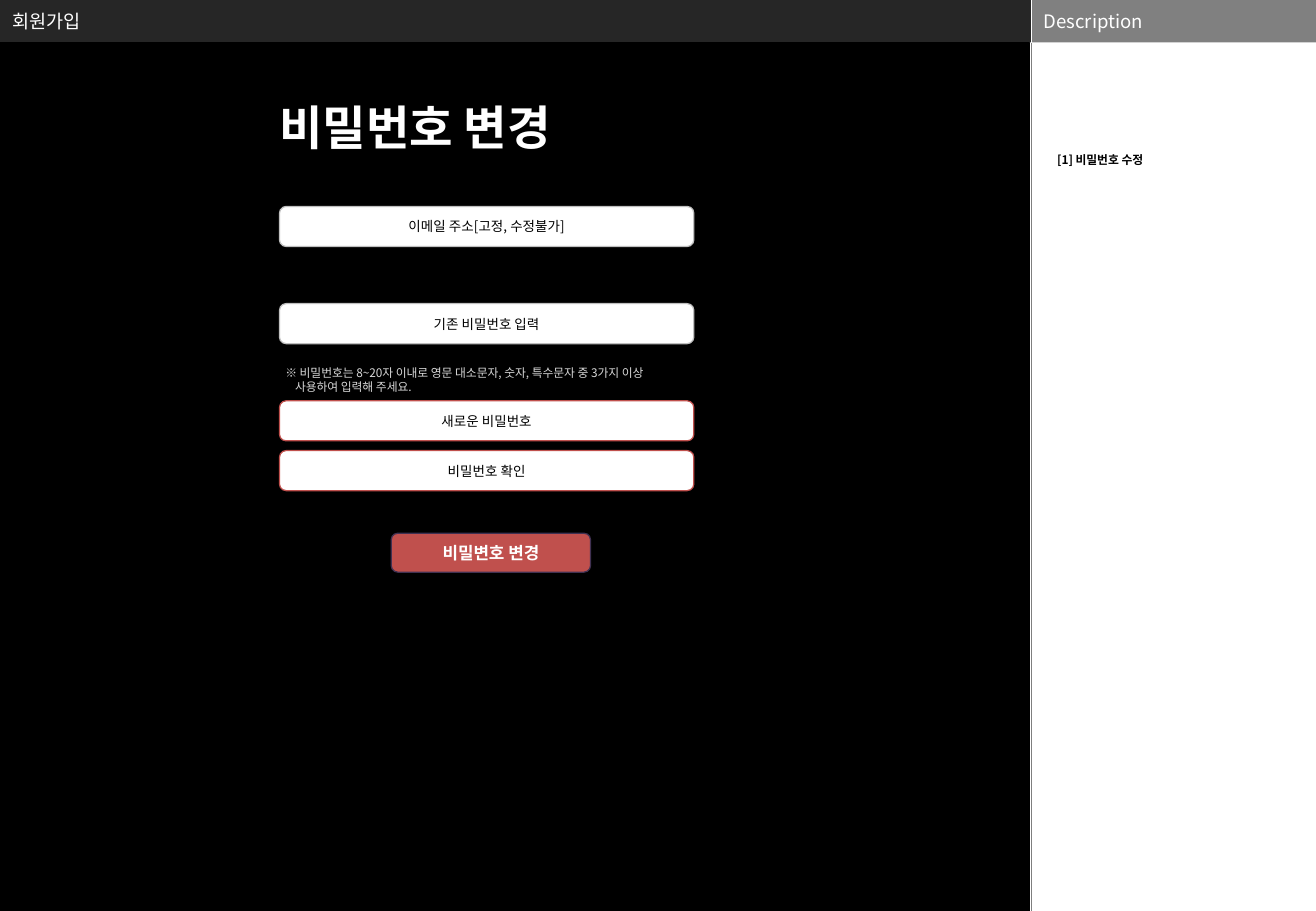
from pptx import Presentation
from pptx.dml.color import RGBColor
from pptx.enum import shapes, text
from pptx.oxml.ns import qn
from pptx.util import Inches, Pt
from lxml import etree

FONT = "Noto Sans CJK KR"
COLORS = {
    "black": "000000", "white": "FFFFFF", "header": "262626", "side": "808080",
    "divider": "7F7F7F", "border": "BFBFBF", "red": "C0504D", "plum": "403152",
    "hint": "D9D9D9",
}
HEADER_H = 0.35
RECT = shapes.MSO_SHAPE.RECTANGLE
ROUNDED = shapes.MSO_SHAPE.ROUNDED_RECTANGLE
MIDDLE = text.MSO_ANCHOR.MIDDLE
LEFT, CENTER = text.PP_ALIGN.LEFT, text.PP_ALIGN.CENTER


def rgb(name):
    return RGBColor.from_string(COLORS[name])


def add_block(s, kind, x, y, w, h, fill, line=None):
    sp = s.shapes.add_shape(kind, Inches(x), Inches(y), Inches(w), Inches(h))
    sp.shadow.inherit = False
    sp.fill.solid()
    sp.fill.fore_color.rgb = rgb(fill)
    if line:
        sp.line.color.rgb = rgb(line)
        sp.line.width = Pt(0.75)
    else:
        sp.line.fill.background()
    return sp


def add_rule(s, x, y1, y2, color):
    ln = s.shapes.add_connector(shapes.MSO_CONNECTOR.STRAIGHT,
                                Inches(x), Inches(y1), Inches(x), Inches(y2))
    ln.line.color.rgb = rgb(color)
    ln.line.width = Pt(0.25)
    etree.SubElement(ln.element.spPr, qn("a:effectLst"))


def add_box(s, x, y, w, h):
    return s.shapes.add_textbox(Inches(x), Inches(y), Inches(w), Inches(h))


def place(ph, x, y, w, h):
    """Move a placeholder into its box and to the front."""
    ph.left, ph.top, ph.width, ph.height = map(Inches, (x, y, w, h))
    ph.element.getparent().append(ph.element)
    return ph


def write(sp, words, size, color, bold=False, align=LEFT,
          anchor=text.MSO_ANCHOR.TOP, wrap=True, insets=(0.1, 0.05)):
    tf = sp.text_frame
    tf.text = words
    tf.word_wrap = wrap
    tf.auto_size = text.MSO_AUTO_SIZE.NONE
    tf.vertical_anchor = anchor
    tf.margin_left = tf.margin_right = Inches(insets[0])
    tf.margin_top = tf.margin_bottom = Inches(insets[1])
    for p in tf.paragraphs:
        p.alignment = align
        p.space_before = Pt(0)
        for r in p.runs:
            r.font.size, r.font.bold, r.font.name = Pt(size), bold, FONT
            r.font.color.rgb = rgb(color)
            # East Asian typeface for the Korean text
            etree.SubElement(r.font._element, qn("a:ea")).set("typeface", FONT)
    return tf


def indent(p, left):
    pPr = p._p.get_or_add_pPr()
    pPr.set("marL", str(Inches(left)))
    pPr.set("indent", "0")
    return pPr


def add_header(s, x, y, w, h, body):
    add_block(s, RECT, x, y, w, h, "header")
    place(body, x, y, w - 0.24, h)
    tf = write(body, "회원가입", 11, "white", anchor=MIDDLE)
    etree.SubElement(indent(tf.paragraphs[0], 0), qn("a:buNone"))


def add_description(s, x, y, w, h):
    add_block(s, RECT, x, y, w, HEADER_H, "side")
    add_rule(s, x, y, y + HEADER_H, "white")
    add_rule(s, x, y + HEADER_H, y + h, "divider")
    write(add_box(s, x, y, w, 0.34), "Description", 11, "white", anchor=MIDDLE)
    write(add_box(s, x + 0.18, y + 1.26, 1.91, 5.58), "[1] 비밀번호 수정",
          7, "black", bold=True, insets=(0.03, 0))


def add_screen(s, x, y, w, h, title):
    add_block(s, RECT, x, y, w, h, "black", "black")
    place(title, x + 2.2, y + 0.41, 3.86, 0.57)
    write(title, "비밀번호 변경", 28, "white", bold=True)

    # Input fields
    fields = [
        (1.35, "이메일 주소[고정, 수정불가]", "border"),
        (2.15, "기존 비밀번호 입력", "border"),
        (2.95, "새로운 비밀번호", "red"),
        (3.36, "비밀번호 확인", "red"),
    ]
    for top, label, line in fields:
        sp = add_block(s, ROUNDED, x + 2.3, y + top, 3.41, 0.33, "white", line)
        write(sp, label, 8, "black", align=CENTER, anchor=MIDDLE,
              wrap=False, insets=(0.04, 0.04))

    # Password rule
    tf = write(add_box(s, x + 2.22, y + 2.61, 3.67, 0.34),
               "※ 비밀번호는 8~20자 이내로 영문 대소문자, 숫자, 특수문자 중 3가지 이상\n"
               "사용하여 입력해 주세요.", 7, "hint")
    for p, left in zip(tf.paragraphs, (0.03, 0.11)):
        indent(p, left)

    # Submit button
    sp = add_block(s, ROUNDED, x + 3.22, y + 4.04, 1.64, 0.32, "red", "plum")
    write(sp, "비밀변호 변경", 10, "white", bold=True, align=CENTER,
          anchor=MIDDLE, wrap=False, insets=(0.04, 0.04))


def main():
    prs = Presentation()
    prs.slide_width, prs.slide_height = Inches(10.83), Inches(7.5)
    s = prs.slides.add_slide(prs.slide_layouts[1])
    title, body = s.placeholders
    add_header(s, 0, 0, 8.49, HEADER_H, body)
    add_description(s, 8.49, 0, 2.34, 7.5)
    add_screen(s, 0, HEADER_H, 8.47, 7.15, title)
    prs.save("out.pptx")


if __name__ == "__main__":
    main()
